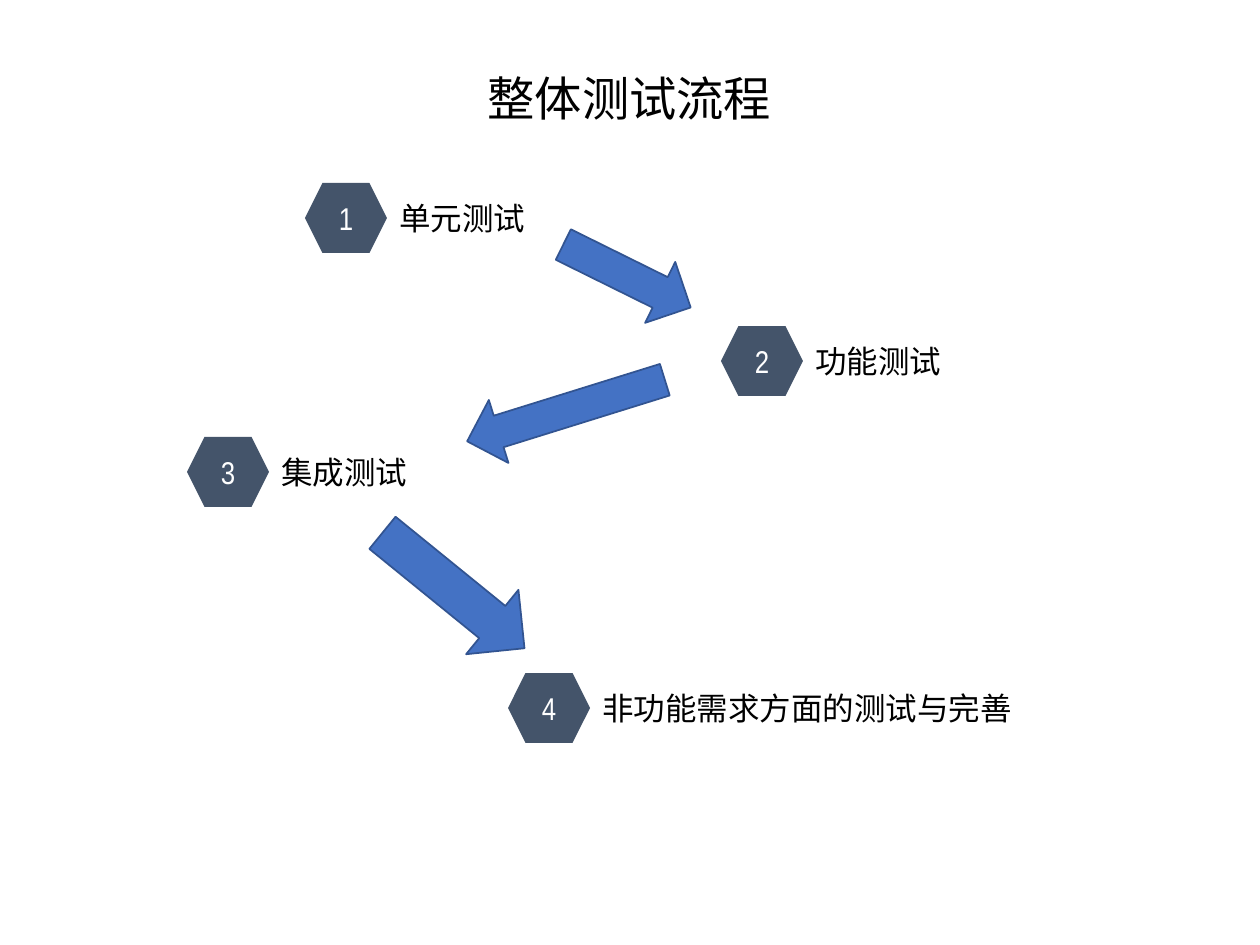
"""Build a slide showing the four stages of the overall test flow."""
from dataclasses import dataclass

import pptx
import pptx.dml.color
import pptx.enum.shapes
import pptx.enum.text
import pptx.util

SCALE = 914400 / 126
COLORS = {"hex": "44546A", "arrow": "4472C4", "edge": "325491",
          "dark": "000000", "light": "FFFFFF"}
SHAPE = pptx.enum.shapes.MSO_SHAPE
ALIGN = pptx.enum.text.PP_ALIGN
HEX_W, HEX_H = 82, 70
LABEL_H = 50


@dataclass
class Step:
    """A numbered stage of testing."""
    x: int
    y: int
    label: str
    width: int


@dataclass
class Arrow:
    """A block arrow, turned clockwise by some degrees."""
    x: int
    y: int
    w: int
    h: int
    turn: float


STEPS = [
    Step(305, 183, "单元测试", 152),
    Step(721, 326, "功能测试", 152),
    Step(187, 437, "集成测试", 152),
    Step(508, 673, "非功能需求方面的测试与完善", 438),
]
ARROWS = [
    Arrow(593, 205, 68, 142, 296.3),
    Arrow(533, 307, 66, 207, 72.7),
    Arrow(412, 499, 83, 183, 309.1),
]


def px(*values: int) -> list[int]:
    """Turn pixels into EMU."""
    return [round(value * SCALE) for value in values]


def rgb(name: str) -> pptx.dml.color.RGBColor:
    """Look up a named colour."""
    return pptx.dml.color.RGBColor.from_string(COLORS[name])


def write(shape, text: str, size: int, face: str, color: str, align) -> None:
    """Put one formatted line of text in a shape."""
    frame = shape.text_frame
    frame.text = text
    line = frame.paragraphs[0]
    line.alignment = align
    font = line.runs[0].font
    font.size = pptx.util.Pt(size)
    font.name = face
    font.color.rgb = rgb(color)


def add_text(slide, box: list[int], text: str, size: int, face: str, align) -> None:
    """Add a text box that grows with its single line."""
    shape = slide.shapes.add_textbox(*box)
    write(shape, text, size, face, "dark", align)
    shape.text_frame.word_wrap = False
    shape.text_frame.auto_size = pptx.enum.text.MSO_AUTO_SIZE.SHAPE_TO_FIT_TEXT


def add_solid(slide, kind, box: list[int], fill: str):
    """Add a flat filled shape."""
    shape = slide.shapes.add_shape(kind, *box)
    shape.shadow.inherit = False
    shape.fill.solid()
    shape.fill.fore_color.rgb = rgb(fill)
    return shape


def add_step(slide, step: Step, number: int) -> None:
    """Add a numbered hexagon with its label at the right."""
    badge = add_solid(slide, SHAPE.HEXAGON, px(step.x, step.y, HEX_W, HEX_H), "hex")
    badge.line.fill.background()
    write(badge, str(number), 18, "Arial Narrow", "light", ALIGN.CENTER)
    badge.text_frame.vertical_anchor = pptx.enum.text.MSO_ANCHOR.MIDDLE
    top = step.y + (HEX_H - LABEL_H) // 2
    box = px(step.x + HEX_W, top, step.width, LABEL_H)
    add_text(slide, box, step.label, 18, "Calibri", ALIGN.LEFT)


def add_arrow(slide, arrow: Arrow) -> None:
    """Add a turned block arrow."""
    box = px(arrow.x, arrow.y, arrow.w, arrow.h)
    shape = add_solid(slide, SHAPE.DOWN_ARROW, box, "arrow")
    shape.line.color.rgb = rgb("edge")
    shape.line.width = pptx.util.Pt(1)
    shape.rotation = arrow.turn


def main() -> None:
    """Build and save the slide."""
    deck = pptx.Presentation()
    deck.slide_width, deck.slide_height = px(1260, 945)
    slide = deck.slides.add_slide(deck.slide_layouts[6])
    add_text(slide, px(474, 63, 311, 71), "整体测试流程", 27,
             "Noto Sans CJK SC", ALIGN.CENTER)
    for number, step in enumerate(STEPS, 1):
        add_step(slide, step, number)
    for arrow in ARROWS:
        add_arrow(slide, arrow)
    deck.save("out.pptx")


if __name__ == "__main__":
    main()
